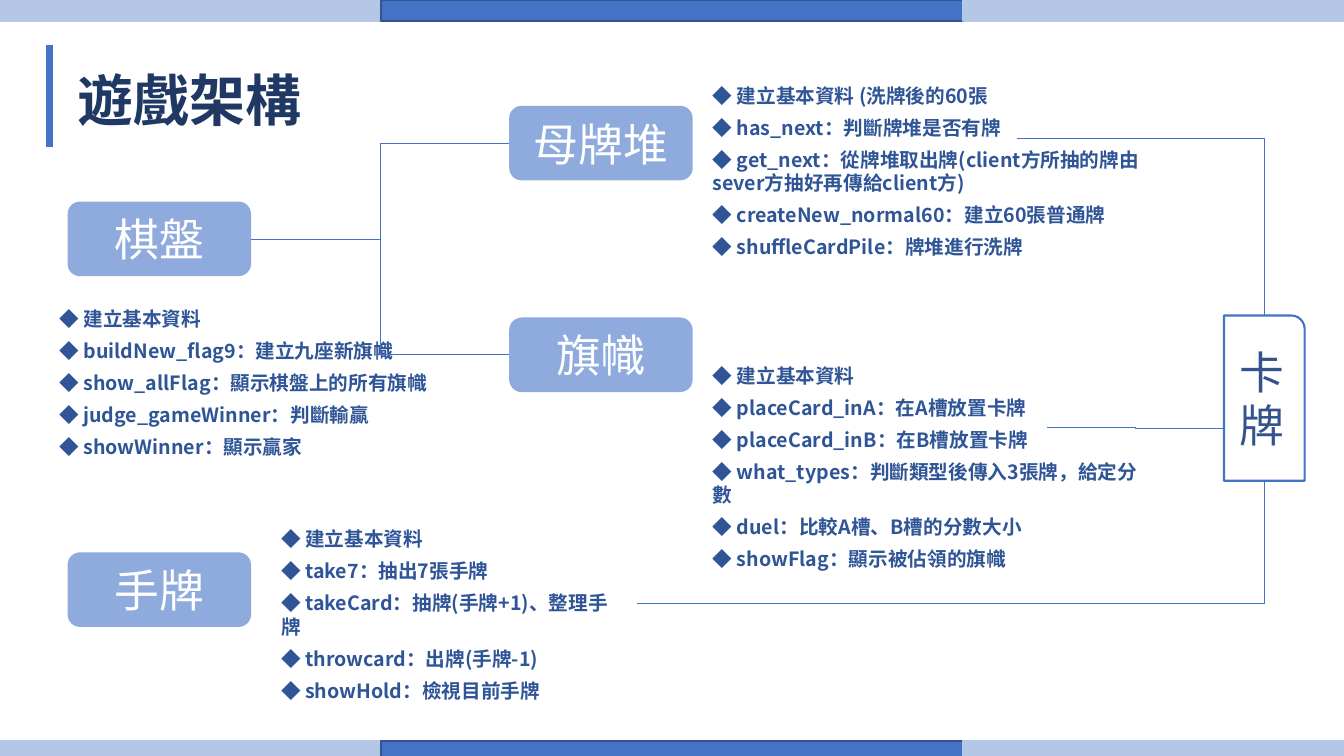
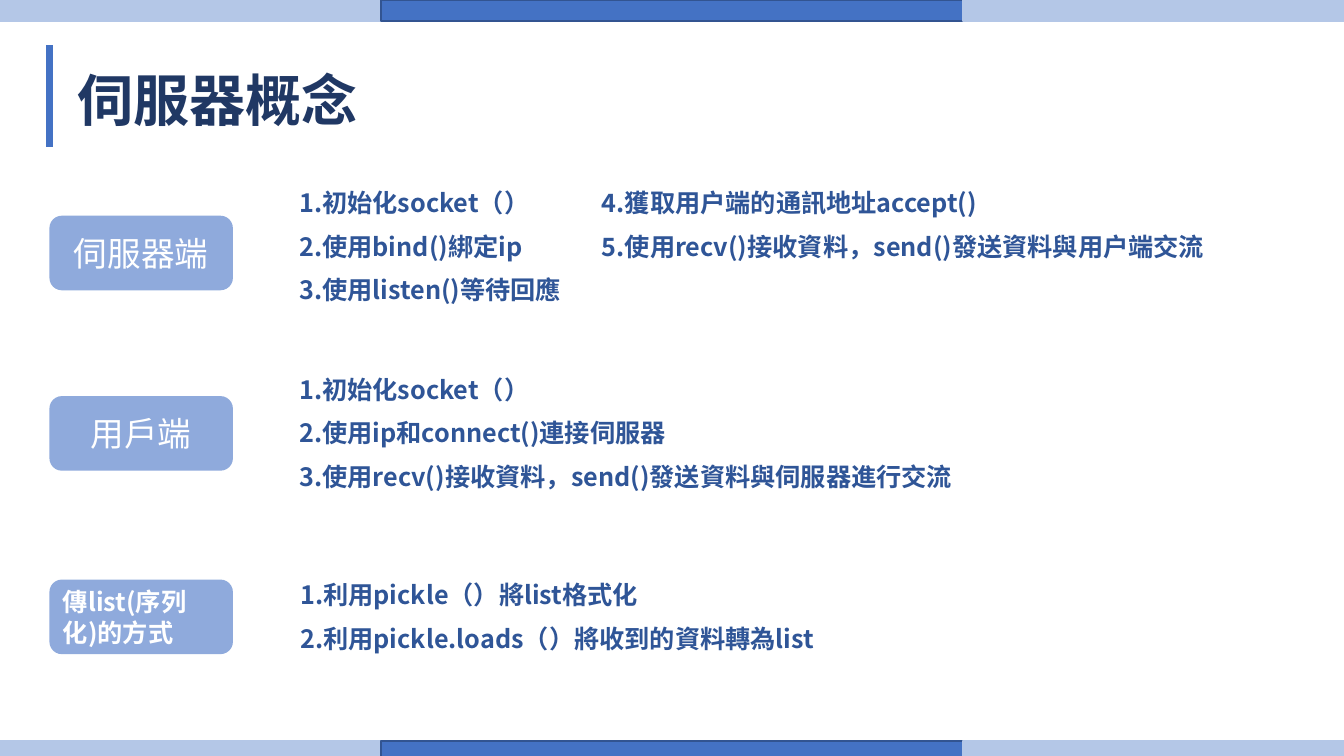
from lxml import etree
from pptx import Presentation
from pptx.dml.color import RGBColor
from pptx.enum.shapes import MSO_CONNECTOR as Link, MSO_SHAPE as Shape
from pptx.enum.text import MSO_ANCHOR as Anchor, MSO_AUTO_SIZE as AutoSize, PP_ALIGN as Align
from pptx.oxml.ns import qn
from pptx.util import Inches, Pt

NAVY = RGBColor(0x20, 0x38, 0x64)
INK = RGBColor(0x2F, 0x55, 0x97)
CARD_INK = RGBColor(0x35, 0x53, 0x8B)
BLUE = RGBColor(0x44, 0x72, 0xC4)
EDGE = RGBColor(0x32, 0x54, 0x91)
SOFT = RGBColor(0x8F, 0xAA, 0xDC)
PALE = RGBColor(0xB4, 0xC7, 0xE7)
WHITE = RGBColor(0xFF, 0xFF, 0xFF)
BODY_FONT, LABEL_FONT = "Noto Sans CJK TC", "Arial"
LABEL_W, LABEL_H = 1.82, 0.74
TOP, LEFT, BOTTOM, RIGHT = range(4)  # connection sites

# Slide 1: label, label position, list position and size, list items
CLASSES = [
    ("棋盤", (0.67, 2), (0.49, 3, 4.74, 1.62), [
        "建立基本資料", "buildNew_flag9：建立九座新旗幟",
        "show_allFlag：顯示棋盤上的所有旗幟",
        "judge_gameWinner：判斷輸贏", "showWinner：顯示贏家"]),
    ("母牌堆", (5.05, 1.05), (6.97, 0.78, 4.74, 1.85), [
        "建立基本資料 (洗牌後的60張", "has_next：判斷牌堆是否有牌",
        "get_next：從牌堆取出牌(client方所抽的牌由sever方抽好再傳給client方)",
        "createNew_normal60：建立60張普通牌", "shuffleCardPile：牌堆進行洗牌"]),
    ("旗幟", (5.05, 3.15), (6.97, 3.56, 4.58, 1.94), [
        "建立基本資料", "placeCard_inA：在A槽放置卡牌",
        "placeCard_inB：在B槽放置卡牌",
        "what_types：判斷類型後傳入3張牌，給定分數",
        "duel：比較A槽、B槽的分數大小", "showFlag：顯示被佔領的旗幟"]),
    ("手牌", (0.67, 5.48), (2.69, 5.18, 3.63, 1.62), [
        "建立基本資料", "take7：抽出7張手牌", "takeCard：抽牌(手牌+1)、整理手牌",
        "throwcard：出牌(手牌-1)", "showHold：檢視目前手牌"]),
]
CARD = (12.14, 3.13, 0.8, 1.64)

# Slide 2: label, label top, label style, steps position and size, steps
TITLE_LIKE = dict(size=24, color=WHITE, font=LABEL_FONT, align=Align.CENTER)
NOTE_LIKE = dict(size=18, color=WHITE, bold=True)
STAGES = [
    ("伺服器端", 2.14, TITLE_LIKE, (2.87, 1.81, 9.71, 1.28), [
        "1.初始化socket（）\t4.獲取用戶端的通訊地址accept()",
        "2.使用bind()綁定ip\t5.使用recv()接收資料，send()發送資料與用戶端交流",
        "3.使用listen()等待回應"]),
    ("用戶端", 3.93, TITLE_LIKE, (2.87, 3.66, 7.1, 1.28), [
        "1.初始化socket（）", "2.使用ip和connect()連接伺服器",
        "3.使用recv()接收資料，send()發送資料與伺服器進行交流"]),
    ("傳list(序列化)的方式", 5.75, NOTE_LIKE, (2.88, 5.7, 6.67, 0.84), [
        "1.利用pickle（）將list格式化",
        "2.利用pickle.loads（）將收到的資料轉為list"]),
]
SECOND_COLUMN = 3.0


def write(frame, lines, size, color, font=BODY_FONT, bold=False,
          align=Align.LEFT, after=0, tab=None):
    """Fill a text frame with one paragraph per line."""
    for index, line in enumerate(lines):
        para = frame.add_paragraph() if index else frame.paragraphs[0]
        para.alignment = align
        para.space_after = Pt(after)
        if tab and "\t" in line:
            stops = etree.SubElement(para._p.get_or_add_pPr(), qn("a:tabLst"))
            etree.SubElement(stops, qn("a:tab"), pos=str(Inches(tab)), algn="l")
        span = para.add_run()
        span.text = line
        span.font.size, span.font.bold, span.font.name = Pt(size), bold, font
        span.font.color.rgb = color
        etree.SubElement(span._r.get_or_add_rPr(), qn("a:ea"), typeface=font)


def add_text(page, area, lines, wrap=True, **style):
    box = page.shapes.add_textbox(*map(Inches, area))
    box.text_frame.word_wrap = wrap
    box.text_frame.auto_size = AutoSize.SHAPE_TO_FIT_TEXT
    write(box.text_frame, lines, bold=True, **style)


def add_box(page, kind, area, fill, line=None, width=1):
    box = page.shapes.add_shape(kind, *map(Inches, area))
    box.shadow.inherit = False
    box.fill.solid()
    box.fill.fore_color.rgb = fill
    if line is None:
        box.line.fill.background()
    else:
        box.line.color.rgb = line
        box.line.width = Pt(width)
    return box


def add_label(page, area, lines, kind=Shape.ROUNDED_RECTANGLE, fill=SOFT,
              line=None, width=1, **style):
    box = add_box(page, kind, area, fill, line, width)
    box.text_frame.word_wrap = True
    box.text_frame.vertical_anchor = Anchor.MIDDLE
    write(box.text_frame, lines, **style)
    return box


def add_line(page, kind, start, end, width=0.5, one_bend=False):
    line = page.shapes.add_connector(kind, *map(Inches, start + end))
    line.line.color.rgb = BLUE
    line.line.width = Pt(width)
    properties = line._element.spPr
    etree.SubElement(properties, qn("a:effectLst"))
    if one_bend:
        properties.find(qn("a:prstGeom")).set("prst", "bentConnector2")
    return line


def add_page(deck, title):
    """Blank page with the shared title and bands."""
    page = deck.slides.add_slide(deck.slide_layouts[6])
    add_line(page, Link.STRAIGHT, (0.49, 0.45), (0.49, 1.46), width=5.25)
    add_text(page, (0.67, 0.6, 0.2 + 0.56 * len(title), 0.77), [title],
             wrap=False, size=40, color=NAVY)
    for top in (0, 7.35):
        for left, width, fill, edge in ((0, 3.78, PALE, PALE),
                                        (3.78, 5.77, BLUE, EDGE),
                                        (9.55, 3.78, PALE, PALE)):
            add_box(page, Shape.RECTANGLE, (left, top, width, 0.21), fill, edge)
    return page


def build_structure(deck):
    page = add_page(deck, "遊戲架構")
    labels = {}
    for name, corner, area, items in CLASSES:
        labels[name] = add_label(page, corner + (LABEL_W, LABEL_H), [name], size=32,
                                 color=WHITE, font=LABEL_FONT, align=Align.CENTER)
        add_text(page, area, ["◆ " + item for item in items],
                 size=14, color=INK, after=6)
    card = add_label(page, CARD, "卡牌", Shape.ROUND_1_RECTANGLE, WHITE, BLUE, 1.5,
                     size=32, color=CARD_INK, font=LABEL_FONT, align=Align.CENTER)

    # Board to card pile and flags
    for name, middle in (("母牌堆", 1.42), ("旗幟", 3.52)):
        link = add_line(page, Link.ELBOW, (2.49, 2.37), (5.05, middle))
        link.begin_connect(labels["棋盤"], RIGHT)
        link.end_connect(labels[name], LEFT)

    # Lists to the card
    left, top, width, height = CARD
    center = left + width / 2
    for start, end, site in (((6.32, 5.99), (center, top + height), BOTTOM),
                             ((10.09, 1.37), (center, top), TOP)):
        link = add_line(page, Link.ELBOW, start, end, one_bend=True)
        link.end_connect(card, site)
    add_line(page, Link.ELBOW, (10.38, 4.24), (left, 4.25))


def build_server(deck):
    page = add_page(deck, "伺服器概念")
    for name, top, style, area, steps in STAGES:
        add_label(page, (0.49, top, LABEL_W, LABEL_H), [name], **style)
        add_text(page, area, steps, size=18, color=INK, after=9.6, tab=SECOND_COLUMN)


def main():
    deck = Presentation()
    deck.slide_width, deck.slide_height = Inches(13.33), Inches(7.5)
    build_structure(deck)
    build_server(deck)
    deck.save("out.pptx")


if __name__ == "__main__":
    main()
